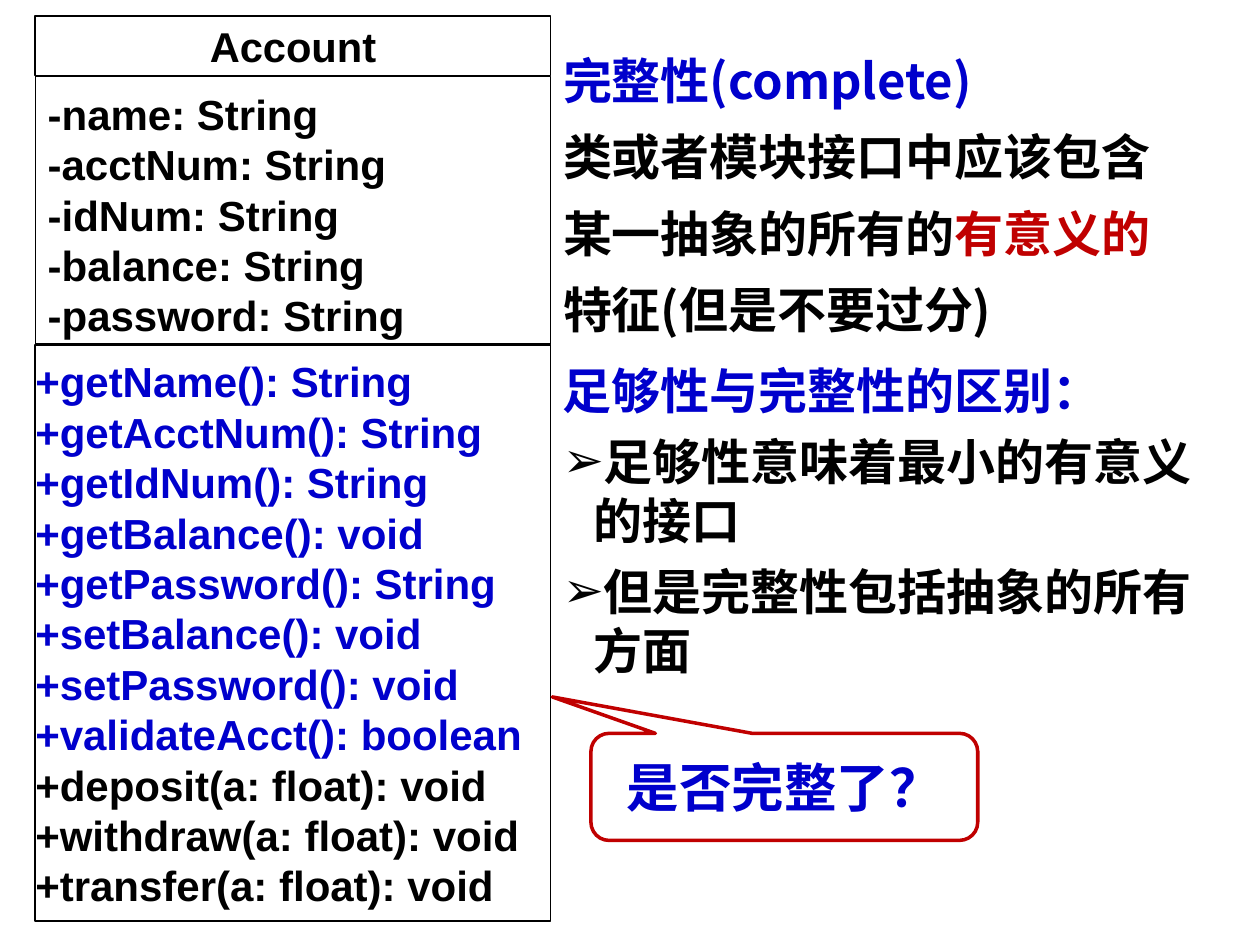
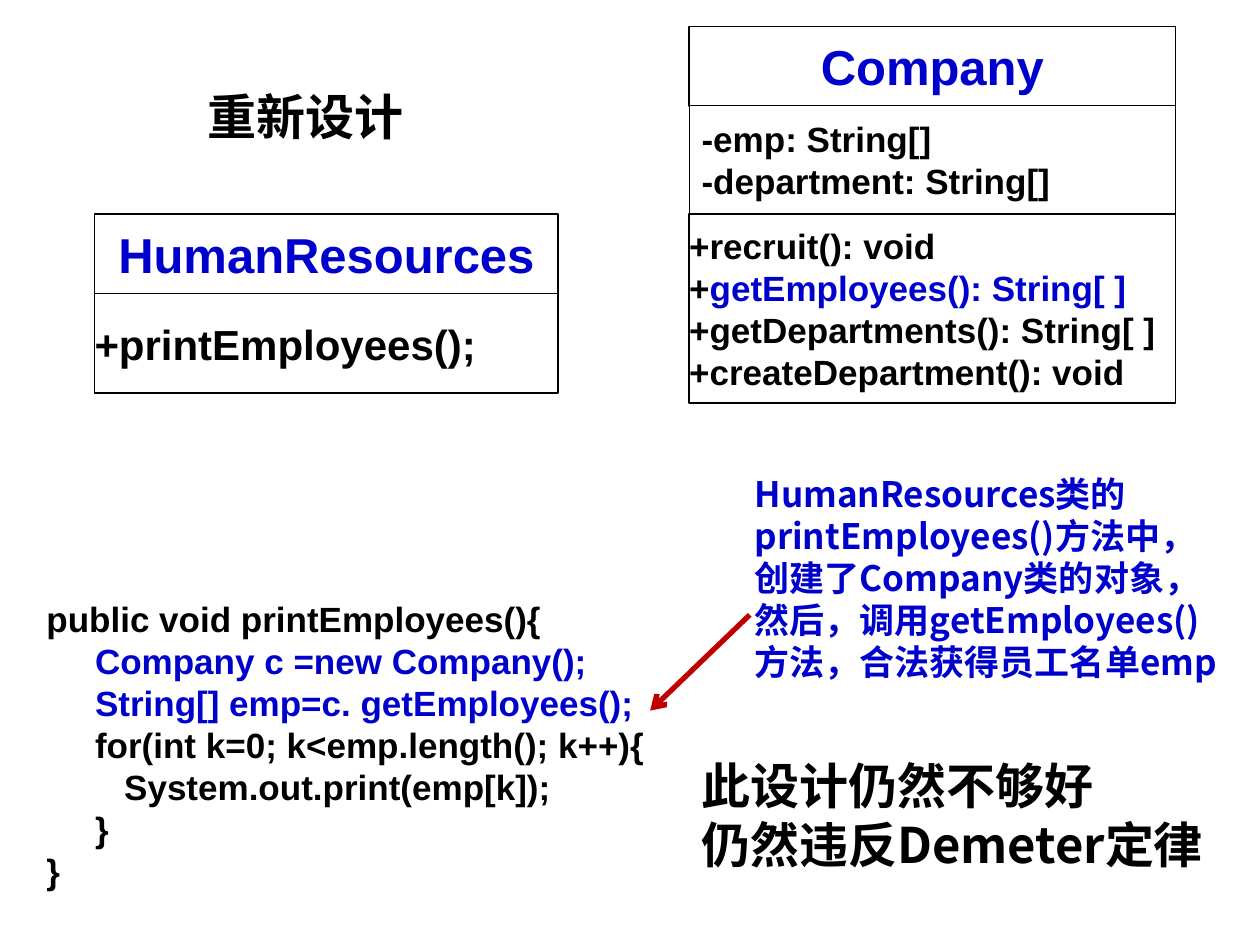
from lxml import etree
from pptx import Presentation, util as u
from pptx.dml.color import RGBColor
from pptx.enum import shapes, text
from pptx.oxml.ns import qn

# Shared style
BLACK, BLUE, RED, WHITE = "000000", "0000CC", "C00000", "FFFFFF"
LATIN, CHINESE = "Arial", "Noto Sans CJK SC"
WIDTH, HEIGHT = 10, 7.5
TEXT_INSETS = (0.1, 0.05, 0.1, 0.05)
TIGHT_INSETS = (0, 0.03, 0, 0.03)
FIELD_INSETS = (0.1, 0.09, 0.1, 0.01)


def lines(colour, *texts):
    """One single-run paragraph per text; a run is (text, colour)."""
    return [[(line, colour)] for line in texts]


# Class diagrams: each compartment is (kind, height, text size, paragraphs)
ACCOUNT = [
    ("name", 0.47, 23.8, lines(BLACK, "Account")),
    ("fields", 2.12, 24, lines(
        BLACK, "-name: String", "-acctNum: String", "-idNum: String",
        "-balance: String", "-password: String")),
    ("methods", 4.57, 24, lines(
        BLUE, "+getName(): String", "+getAcctNum(): String",
        "+getIdNum(): String", "+getBalance(): void",
        "+getPassword(): String", "+setBalance(): void",
        "+setPassword(): void", "+validateAcct(): boolean") + lines(
        BLACK, "+deposit(a: float): void", "+withdraw(a: float): void",
        "+transfer(a: float): void")),
]
HUMAN_RESOURCES = [
    ("name", 0.63, 28, lines(BLUE, "HumanResources")),
    ("methods", 0.79, 24, lines(BLACK, "+printEmployees();")),
]
COMPANY = [
    ("name", 0.63, 28, lines(BLUE, "Company")),
    ("fields", 0.86, 20, lines(BLACK, "-emp: String[]",
                               "-department: String[]")),
    ("methods", 1.5, 20, [
        [("+recruit(): void", BLACK)],
        [("+", BLACK), ("getEmployees(): String[ ]", BLUE)],
        [("+getDepartments(): String[ ]", BLACK)],
        [("+createDepartment(): void", BLACK)]]),
]

# Explanations
COMPLETENESS = [
    [("完整性(complete)", BLUE)],
    [("类或者模块接口中应该包含 某一抽象的所有的", BLACK),
     ("有意义的", RED), ("特征(但是不要过分)", BLACK)],
]
DIFFERENCE = lines(BLUE, "足够性与完整性的区别：") + lines(
    BLACK, "足够性意味着最小的有意义的接口", "但是完整性包括抽象的所有方面")
QUESTION = lines(BLUE, "是否完整了？")
REDESIGN = lines(BLACK, "重新设计")
CODE = (lines(BLACK, "public void printEmployees(){")
        + lines(BLUE, "     Company c =new Company();",
                "     String[] emp=c. getEmployees();")
        + lines(BLACK, "     for(int k=0; k<emp.length(); k++){",
                "        System.out.print(emp[k]);", "     }", "}"))
CODE_NOTE = lines(BLUE, "HumanResources类的", "printEmployees()方法中，",
                  "创建了Company类的对象，", "然后，调用getEmployees()",
                  "方法，合法获得员工名单emp")
VERDICT = lines(BLACK, "此设计仍然不够好", "仍然违反Demeter定律")


def colour(hex_string):
    return RGBColor.from_string(hex_string)


def inches(*lengths):
    return [u.Inches(length) for length in lengths]


def add_bullet(para, mark="➢", indent=0.24):
    props = para._p.get_or_add_pPr()
    props.set("marL", str(u.Inches(indent)))
    props.set("indent", str(-u.Inches(indent)))
    tint = etree.SubElement(props, qn("a:buClr"))
    etree.SubElement(tint, qn("a:srgbClr"), val=BLACK)
    etree.SubElement(props, qn("a:buFont"), typeface=LATIN)
    etree.SubElement(props, qn("a:buChar"), char=mark)


def write(box, paragraphs, size, font, insets=TEXT_INSETS, centred=False,
          middle=False, spacing=None, before=0, bullets_from=None):
    frame = box.text_frame
    frame.word_wrap = True
    (frame.margin_left, frame.margin_top,
     frame.margin_right, frame.margin_bottom) = inches(*insets)
    frame.vertical_anchor = (text.MSO_ANCHOR.MIDDLE if middle
                             else text.MSO_ANCHOR.TOP)
    for index, runs in enumerate(paragraphs):
        para = frame.add_paragraph() if index else frame.paragraphs[0]
        para.alignment = text.PP_ALIGN.CENTER if centred else text.PP_ALIGN.LEFT
        if spacing:
            para.line_spacing = spacing
        if before and index:
            para.space_before = u.Pt(before)
        if bullets_from is not None and index >= bullets_from:
            add_bullet(para)
        for words, tint in runs:
            span = para.add_run()
            span.text = words
            span.font.size, span.font.bold = u.Pt(size), True
            span.font.name = font
            span.font.color.rgb = colour(tint)
            etree.SubElement(span._r.get_or_add_rPr(), qn("a:ea"),
                             typeface=font)


def add_text(page, place, paragraphs, size, font=CHINESE, wrap=True, **style):
    box = page.shapes.add_textbox(*inches(*place))
    write(box, paragraphs, size, font, **style)
    box.text_frame.word_wrap = wrap
    box.text_frame.auto_size = text.MSO_AUTO_SIZE.SHAPE_TO_FIT_TEXT


def add_outlined(page, preset, place, line_colour, line_width):
    box = page.shapes.add_shape(preset, *inches(*place))
    box.shadow.inherit = False
    box.fill.solid()
    box.fill.fore_color.rgb = colour(WHITE)
    box.line.color.rgb = colour(line_colour)
    box.line.width = u.Pt(line_width)
    return box


def add_class(page, left, top, width, compartments, gap=0):
    """Stack the compartments of one class downwards from top."""
    for kind, height, size, paragraphs in compartments:
        is_fields = kind == "fields"
        box = add_outlined(page, shapes.MSO_SHAPE.RECTANGLE,
                           (left, top, width, height), BLACK,
                           0.75 if is_fields else 1)
        write(box, paragraphs, size, LATIN,
              insets=FIELD_INSETS if is_fields else TIGHT_INSETS,
              centred=kind == "name", middle=not is_fields)
        top += height + gap


def add_arrow(page, start, end):
    arrow = page.shapes.add_connector(shapes.MSO_CONNECTOR.STRAIGHT,
                                      *inches(*start, *end))
    arrow.line.color.rgb = colour(RED)
    arrow.line.width = u.Pt(3)
    etree.SubElement(arrow.line._get_or_add_ln(), qn("a:tailEnd"), type="arrow")
    etree.SubElement(arrow._element.spPr, qn("a:effectLst"))


def build_completeness(page):
    add_class(page, 0.28, 0.13, 4.09, ACCOUNT, gap=0.01)
    add_text(page, (4.37, 0.21, 5.12, 2.53), COMPLETENESS, 28, spacing=1.3)
    add_text(page, (4.37, 2.81, 5.44, 2.63), DIFFERENCE, 28,
             before=7, bullets_from=1)
    callout = add_outlined(page, shapes.MSO_SHAPE.ROUNDED_RECTANGULAR_CALLOUT,
                           (4.69, 5.82, 3.07, 0.85), RED, 2)
    for index, value in enumerate((-0.6, -0.84, 0.17)):
        callout.adjustments[index] = value
    write(callout, QUESTION, 30, CHINESE, centred=True, middle=True)


def build_redesign(page):
    add_class(page, 0.75, 1.7, 3.68, HUMAN_RESOURCES)
    add_class(page, 5.47, 0.21, 3.86, COMPANY)
    add_text(page, (0.27, 4.69, 5.59, 2.44), CODE, 20, LATIN)
    add_text(page, (5.89, 3.7, 3.94, 1.77), CODE_NOTE, 20, wrap=False)
    add_arrow(page, (5.95, 4.88), (5.16, 5.64))
    add_text(page, (1.55, 0.64, 1.75, 0.57), REDESIGN, 28, wrap=False)
    add_text(page, (5.47, 5.95, 4.23, 1.5), VERDICT, 28)


def main():
    deck = Presentation()
    deck.slide_width, deck.slide_height = inches(WIDTH, HEIGHT)
    for build in (build_completeness, build_redesign):
        build(deck.slides.add_slide(deck.slide_layouts[6]))
    deck.save("out.pptx")


if __name__ == "__main__":
    main()
